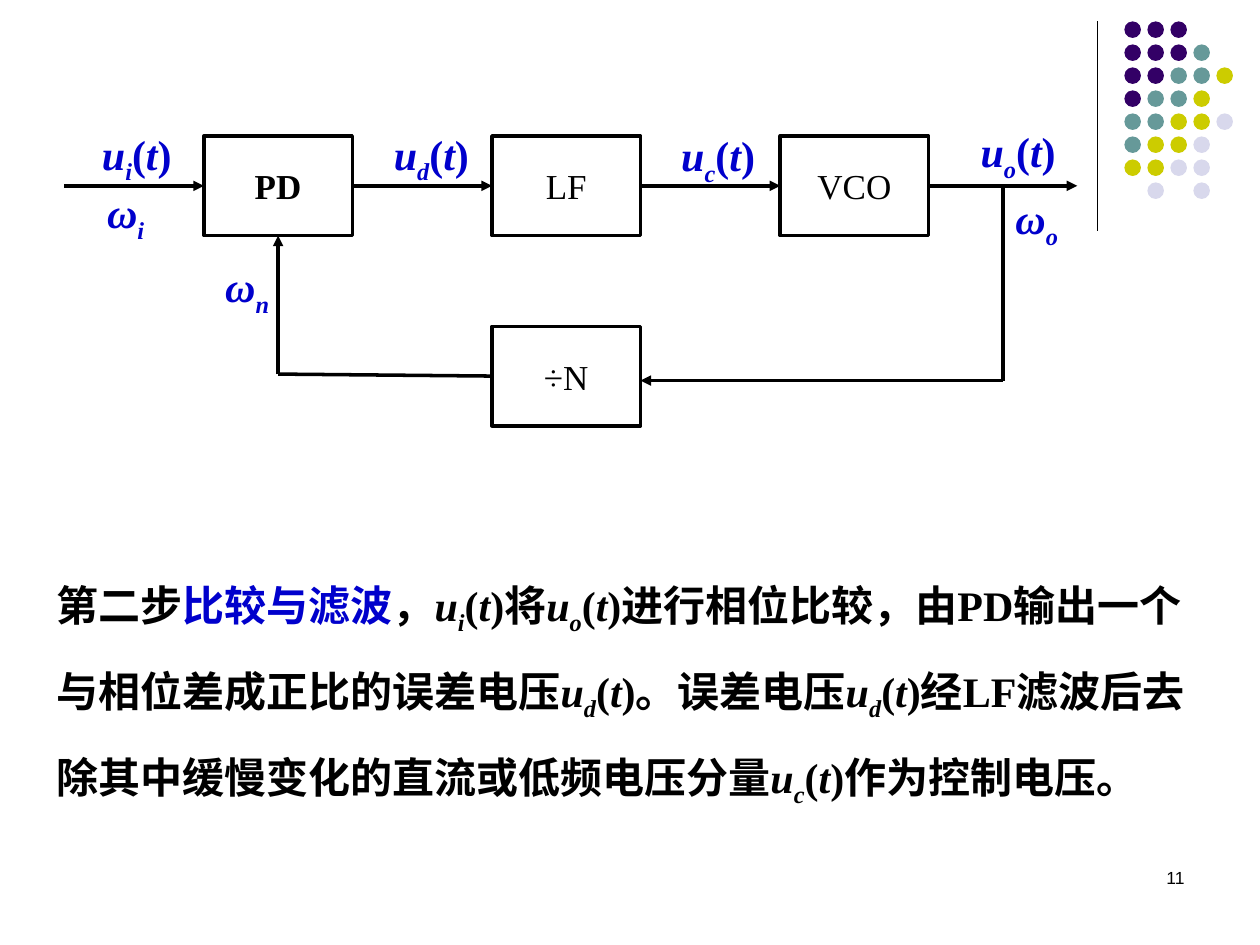
from collections import namedtuple

from lxml import etree
from pptx import Presentation
from pptx.dml.color import RGBColor
from pptx.enum.lang import MSO_LANGUAGE_ID
from pptx.enum.shapes import MSO_CONNECTOR, MSO_SHAPE
from pptx.enum.text import MSO_ANCHOR, MSO_AUTO_SIZE, PP_ALIGN
from pptx.oxml.ns import qn
from pptx.util import Inches, Pt

RECT, OVAL, LINE = MSO_SHAPE.RECTANGLE, MSO_SHAPE.OVAL, MSO_CONNECTOR.STRAIGHT
CENTER, RIGHT, MIDDLE = PP_ALIGN.CENTER, PP_ALIGN.RIGHT, MSO_ANCHOR.MIDDLE
GROW, CHINESE = MSO_AUTO_SIZE.SHAPE_TO_FIT_TEXT, MSO_LANGUAGE_ID.SIMPLIFIED_CHINESE
TOP_SIDE, LEFT_SIDE, BOTTOM_SIDE, RIGHT_SIDE = range(4)

W, H = 10, 7.5
SERIF, SANS = "Times New Roman", "Arial"
COLORS = {
    "ink": "000000", "paper": "FFFFFF", "signal": "0000CC",
    "P": "330066", "T": "669999", "Y": "CCCC00", "L": "D8D8EC",
}
DOTS = ["PPP", "PPPT", "PPTTY", "PTTY", "TTYYL", "TYYL", "YYLL", " L L"]

# Signal-chain grid: columns are half a block wide, rows half a block high
BLOCK, WIRE = 2, 1.88
PITCH = BLOCK + WIRE
COLS, ROWS = 3 * PITCH + BLOCK, 5.82
DIVIDER_ROW = ROWS - BLOCK

Box = namedtuple("Box", "x y w h")
Run = namedtuple("Run", "text italic sub color", defaults=(False, False, "ink"))


def rgb(name):
    return RGBColor.from_string(COLORS[name])


def symbol(letter, index, color="ink"):
    return [Run(letter, True, False, color), Run(index, True, True, color)]


def signal(index, color="ink"):
    """Runs for a voltage that depends on time, such as u_i(t)."""
    return symbol("u", index, color) + [
        Run("(", color=color), Run("t", True, color=color), Run(")", color=color)]


def write(tf, runs, size, font=SERIF, bold=False, align=None):
    p = tf.paragraphs[0]
    p.alignment = align
    for run in runs:
        r = p.add_run()
        r.text = run.text
        f = r.font
        f.name, f.size, f.bold, f.italic = font, Pt(size), bold, run.italic
        f.color.rgb = rgb(run.color)
        f.language_id = CHINESE
        if run.sub:
            f._element.set("baseline", "-25000")
    return p


def add_text(s, box, runs, size, **style):
    tf = s.shapes.add_textbox(*map(Inches, box)).text_frame
    tf.word_wrap = True
    tf.auto_size = GROW
    return write(tf, runs, size, **style)


def add_line(s, start, end, width=2, arrow=False):
    c = s.shapes.add_connector(LINE, *map(Inches, start + end))
    c.line.color.rgb = rgb("ink")
    c.line.width = Pt(width)
    if arrow:
        ln = c.line._get_or_add_ln()
        etree.SubElement(ln, qn("a:tailEnd"), type="triangle")
    etree.SubElement(c._element.spPr, qn("a:effectLst"))
    return c


def add_ornament(s, box):
    """Vertical rule with a dot matrix to its right."""
    add_line(s, (box.x, box.y), (box.x, box.y + box.h), 0.75)
    step = box.h * 0.11
    dot = step * 0.72
    left = box.x + box.w * 0.2
    for row, line in enumerate(DOTS):
        for col, key in enumerate(line):
            if key == " ":
                continue
            sp = s.shapes.add_shape(OVAL, *map(Inches, (
                left + col * step, box.y + row * step, dot, dot)))
            sp.shadow.inherit = False
            sp.fill.solid()
            sp.fill.fore_color.rgb = rgb(key)
            sp.line.fill.background()


def add_block(s, box, text, bold=False):
    sp = s.shapes.add_shape(RECT, *map(Inches, box))
    sp.shadow.inherit = False
    sp.fill.solid()
    sp.fill.fore_color.rgb = rgb("paper")
    sp.line.color.rgb = rgb("ink")
    sp.line.width = Pt(2)
    sp.text_frame.vertical_anchor = MIDDLE
    write(sp.text_frame, [Run(text)], 20, bold=bold, align=CENTER)
    return sp


def add_loop_diagram(s, box):
    cw, rh = box.w / COLS, box.h / ROWS

    def at(col, row):
        return box.x + col * cw, box.y + row * rh

    def block(col, row, text, bold=False):
        return add_block(s, Box(*at(col, row), BLOCK * cw, BLOCK * rh), text, bold)

    chain = [block(WIRE + i * PITCH, 0, name, name == "PD")
             for i, name in enumerate(("PD", "LF", "VCO"))]
    divider = block(WIRE + PITCH, DIVIDER_ROW, "÷N")

    # Forward path: one arrow into each block and one out of the last
    for i, (source, target) in enumerate(zip([None] + chain, chain + [None])):
        start = i * PITCH
        end = start + WIRE if target else COLS
        c = add_line(s, at(start, 1), at(end, 1), arrow=True)
        if source:
            c.begin_connect(source, RIGHT_SIDE)
        if target:
            c.end_connect(target, LEFT_SIDE)

    # Feedback path: output tap, divider, phase detector
    tap, low, pd = COLS - 1, DIVIDER_ROW + 1.09, WIRE + 1
    turn = DIVIDER_ROW + 0.96
    add_line(s, at(tap, low), at(tap, 1))
    add_line(s, at(tap, low), at(WIRE + PITCH + BLOCK, low), arrow=True)
    c = add_line(s, at(WIRE + PITCH, DIVIDER_ROW + 1), at(pd, turn))
    c.begin_connect(divider, LEFT_SIDE)
    c = add_line(s, at(pd, turn), at(pd, BLOCK), arrow=True)
    c.end_connect(chain[0], BOTTOM_SIDE)

    labels = [
        (0.34, -0.28, signal("i", "signal")),
        (4.27, -0.28, signal("d", "signal")),
        (8.14, -0.25, signal("c", "signal")),
        (12.17, -0.33, signal("o", "signal")),
        (0.41, 0.89, symbol("ω", "i", "signal")),
        (2.0, 2.38, symbol("ω", "n", "signal")),
        (tap, 1.01, symbol("ω", "o", "signal")),
    ]
    for col, row, runs in labels:
        add_text(s, Box(*at(col, row), 1.47 * cw, 1.27 * rh), runs, 24, bold=True)


def add_explanation(s, box):
    runs = [
        Run("第二步"), Run("比较与滤波", color="signal"), Run("，"),
        *signal("i"), Run("将"), *signal("o"),
        Run("进行相位比较，由PD输出一个与相位差成正比的误差电压"),
        *signal("d"), Run("。误差电压"), *signal("d"),
        Run("经LF滤波后去除其中缓慢变化的直流或低频电压分量"),
        *signal("c"), Run("作为控制电压。"),
    ]
    add_text(s, box, runs, 24, bold=True).line_spacing = 1.5


def add_page_number(s, box, number):
    add_text(s, box, [Run(str(number))], 10, font=SANS, align=RIGHT)


def main():
    prs = Presentation()
    prs.slide_width, prs.slide_height = Inches(W), Inches(H)
    s = prs.slides.add_slide(prs.slide_layouts[6])
    add_ornament(s, Box(8.71, 0.17, 1.07, 1.66))
    add_page_number(s, Box(7.17, 6.83, 2.33, 0.5), 11)
    add_explanation(s, Box(0.35, 4.32, 9.29, 1.92))
    add_loop_diagram(s, Box(0.51, 1.08, 8.04, 2.3))
    prs.save("out.pptx")


if __name__ == "__main__":
    main()
